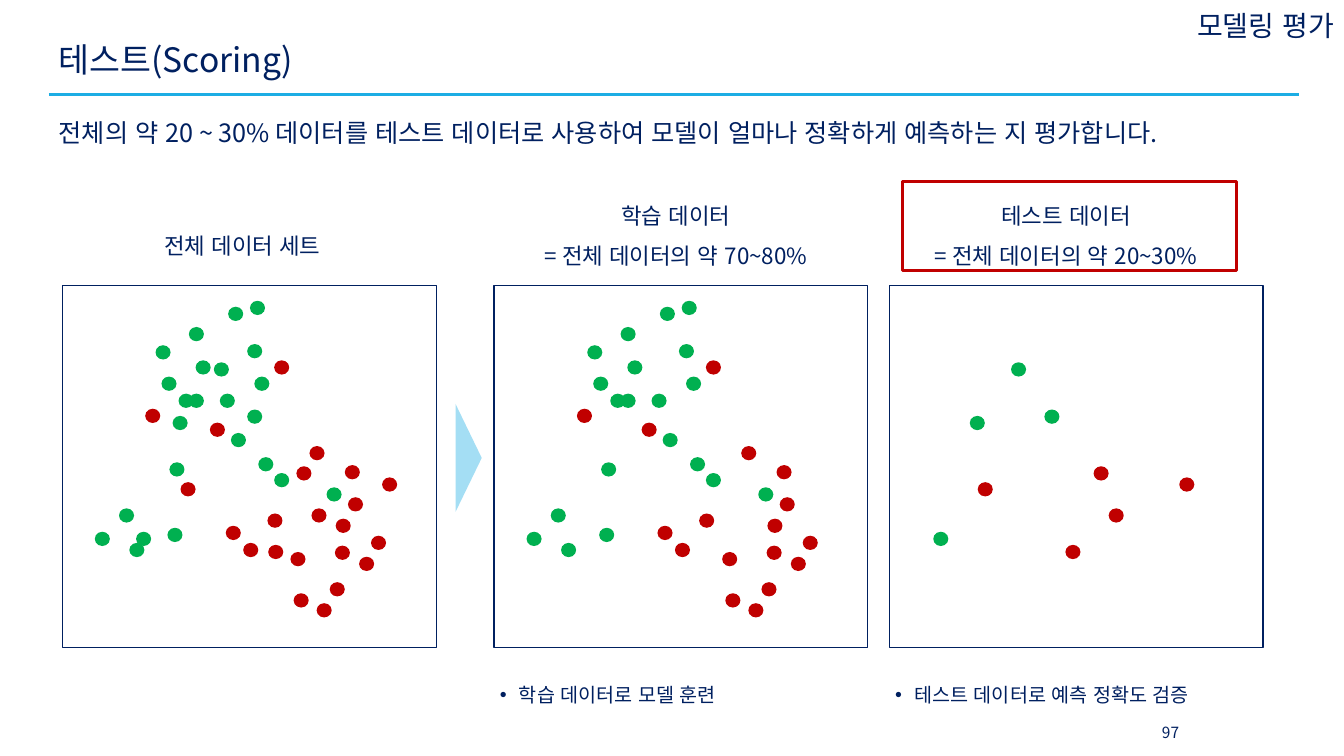
from collections import namedtuple
from dataclasses import dataclass

from lxml.etree import SubElement as Sub
from pptx import Presentation
from pptx.dml.color import RGBColor as Rgb
from pptx.enum.lang import MSO_LANGUAGE_ID as Lang
from pptx.enum.shapes import MSO_CONNECTOR as Conn, MSO_SHAPE as Form
from pptx.enum.text import MSO_ANCHOR as Anchor, PP_ALIGN as Align
from pptx.oxml.ns import qn
from pptx.util import Cm, Pt

Box = namedtuple("Box", "x y w h")


@dataclass(frozen=True)
class Theme:
    ink: str = "002060"
    rule: str = "1CADE4"
    arrow: str = "A4DEF4"
    green: str = "00B050"
    red: str = "C00000"
    sans: str = "Noto Sans CJK KR"
    latin: str = "Arial"
    title: int = 24
    topic: int = 20
    lead: int = 18
    head: int = 16
    note: int = 14
    page: int = 11
    thin: float = 1
    thick: float = 2.25


T = Theme()

# Dot places in cm from the corner of a panel, by split and class
TRAIN = {
    T.green: [
        (0.81, 6.2), (4.17, 0.53), (2.69, 4.45), (1.42, 5.61), (2.49, 2.29),
        (2.34, 1.5), (3.18, 1.04), (4.72, 0.38), (3.35, 1.88), (3.18, 2.72),
        (1.68, 6.48), (4.24, 3.71), (3.96, 2.72), (4.65, 1.47), (4.83, 2.29),
        (2.92, 2.72), (4.93, 4.32), (6.65, 5.08), (5.33, 4.72), (2.64, 6.1),
    ],
    T.red: [
        (4.11, 6.05), (4.55, 6.48), (5.16, 5.74), (7.11, 4.52), (7.19, 5.33),
        (6.88, 5.87), (6.22, 4.04), (5.74, 6.71), (6.86, 6.55), (7.77, 6.3),
        (7.47, 6.83), (5.33, 1.88), (3.71, 3.45), (5.82, 7.75), (6.73, 7.47),
        (6.4, 8), (2.08, 3.1),
    ],
}
TEST = {
    T.green: [(2.77, 3.28), (3.81, 1.93), (4.65, 3.12), (1.85, 6.2)],
    T.red: [(6.27, 5.61), (8.05, 4.83), (5.89, 4.55), (2.97, 4.95), (5.18, 6.53)],
}
WHOLE = {hue: TRAIN[hue] + TEST[hue] for hue in TRAIN}


def place(box):
    return [Cm(side) for side in box]


def draw(slide, form, box, fill=None, line=None, width=T.thin):
    shape = slide.shapes.add_shape(form, *place(box))
    shape.shadow.inherit = False
    if fill:
        shape.fill.solid()
        shape.fill.fore_color.rgb = Rgb.from_string(fill)
    else:
        shape.fill.background()
    if line:
        shape.line.color.rgb = Rgb.from_string(line)
        shape.line.width = Pt(width)
    else:
        shape.line.fill.background()
    return shape


def write(slide, box, lines, size, align=Align.LEFT, anchor=Anchor.TOP,
          space=1.0, top=0.13, face=T.sans, bullet=False):
    frame = slide.shapes.add_textbox(*place(box)).text_frame
    frame.word_wrap = True
    frame.vertical_anchor = anchor
    frame.margin_top = Cm(top)
    for i, line in enumerate(lines):
        para = frame.paragraphs[0] if i == 0 else frame.add_paragraph()
        para.alignment = align
        para.line_spacing = space
        if bullet:
            props = para._p.get_or_add_pPr()
            props.set("marL", str(Cm(0.48)))
            props.set("indent", str(-Cm(0.48)))
            Sub(props, qn("a:buFont"), typeface=T.latin)
            Sub(props, qn("a:buChar"), char="•")
        run = para.add_run()
        run.text = line
        font = run.font
        font.size = Pt(size)
        font.name = face
        font.language_id = Lang.KOREAN
        font.color.rgb = Rgb.from_string(T.ink)
        # Hangul takes the East Asian face
        Sub(run._r.get_or_add_rPr(), qn("a:ea"), typeface=T.sans)


def add_top(slide, box):
    """Topic, title, rule and lead sentence."""
    write(slide, Box(box.x + box.w - 9.2, 0.1, 10.34, 1.09), ["모델링 평가"],
          T.topic, Align.RIGHT, Anchor.MIDDLE)
    write(slide, Box(box.x, box.y, box.w, 1.6), ["테스트(Scoring)"],
          T.title, anchor=Anchor.MIDDLE, space=0.9)
    level, right = Cm(box.y + 1.65), Cm(box.x + box.w)
    rule = slide.shapes.add_connector(Conn.STRAIGHT, Cm(box.x), level, right, level)
    rule.line.color.rgb = Rgb.from_string(T.rule)
    rule.line.width = Pt(T.thick)
    Sub(rule._element.spPr, qn("a:effectLst"))
    lead = "전체의 약 20 ~ 30% 데이터를 테스트 데이터로 사용하여 모델이 얼마나 정확하게 예측하는 지 평가합니다."
    write(slide, Box(box.x, box.y + 1.85, box.w, 3.2), [lead], T.lead, space=1.3)


def add_panel(slide, box, dots, shift=0):
    """Framed scatter of one data set."""
    for hue, spots in dots.items():
        for x, y in spots:
            spot = Box(box.x + x + shift, box.y + y, 0.38, 0.36)
            draw(slide, Form.OVAL, spot, fill=hue)
    draw(slide, Form.RECTANGLE, box, line=T.ink)


def add_head(slide, box, lines, align=Align.CENTER):
    write(slide, box, lines, T.head, align, space=1.5, top=0.3)


def add_note(slide, panel, text):
    box = Box(panel.x - 0.1, panel.y + 9.42, 10.06, 1.22)
    write(slide, box, [text], T.note, space=1.5, top=0.3,
          face=T.latin, bullet=True)


def add_data(slide, box):
    """Whole set, then its training and test parts."""
    whole, train, test = [
        Box(box.x + step, box.y, 9.42, box.h) for step in (0, 10.87, 20.83)
    ]
    add_panel(slide, whole, WHOLE)
    add_panel(slide, train, TRAIN, 0.01)
    add_panel(slide, test, TEST, -0.74)

    # Headings
    add_head(slide, Box(whole.x + 2.31, box.y - 1.98, 4.9, 1.32),
             ["전체 데이터 세트"], Align.LEFT)
    add_head(slide, Box(train.x + 0.56, box.y - 2.74, 8.05, 2.36),
             ["학습 데이터", "= 전체 데이터의 약 70~80%"])
    add_head(slide, Box(test.x + 0.43, box.y - 2.74, 8.05, 2.36),
             ["테스트 데이터", "= 전체 데이터의 약 20~30%"])

    # Arrow between the sets and mark on the test set
    arrow = draw(slide, Form.ISOSCELES_TRIANGLE,
                 Box(box.x + 8.87, box.y + 4.01, 2.72, 0.66), fill=T.arrow)
    arrow.rotation = 90
    draw(slide, Form.RECTANGLE, Box(test.x + 0.33, box.y - 2.62, 8.43, 2.24),
         line=T.red, width=T.thick)

    add_note(slide, train, "학습 데이터로 모델 훈련")
    add_note(slide, test, "테스트 데이터로 예측 정확도 검증")


def add_page(slide, box):
    write(slide, box, ["97"], T.page, Align.CENTER, Anchor.MIDDLE)


def main():
    deck = Presentation()
    deck.slide_width, deck.slide_height = Cm(33.87), Cm(19.05)
    slide = deck.slides.add_slide(deck.slide_layouts[6])
    add_top(slide, Box(1.23, 0.74, 31.5, 4.5))
    add_data(slide, Box(1.58, 7.2, 30.25, 9.12))
    add_page(slide, Box(28.7, 17.93, 1.6, 1.02))
    deck.save("out.pptx")


if __name__ == "__main__":
    main()
